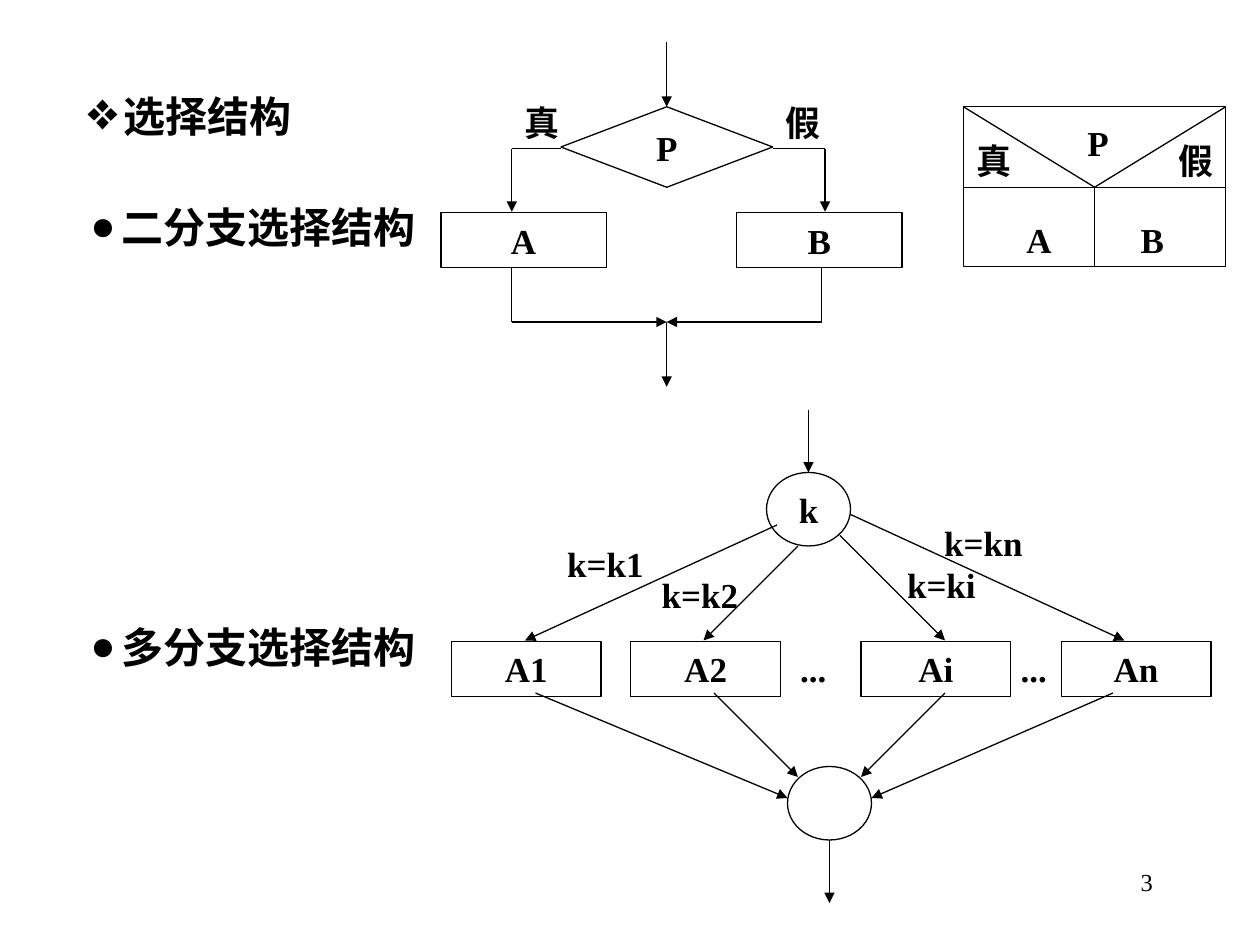
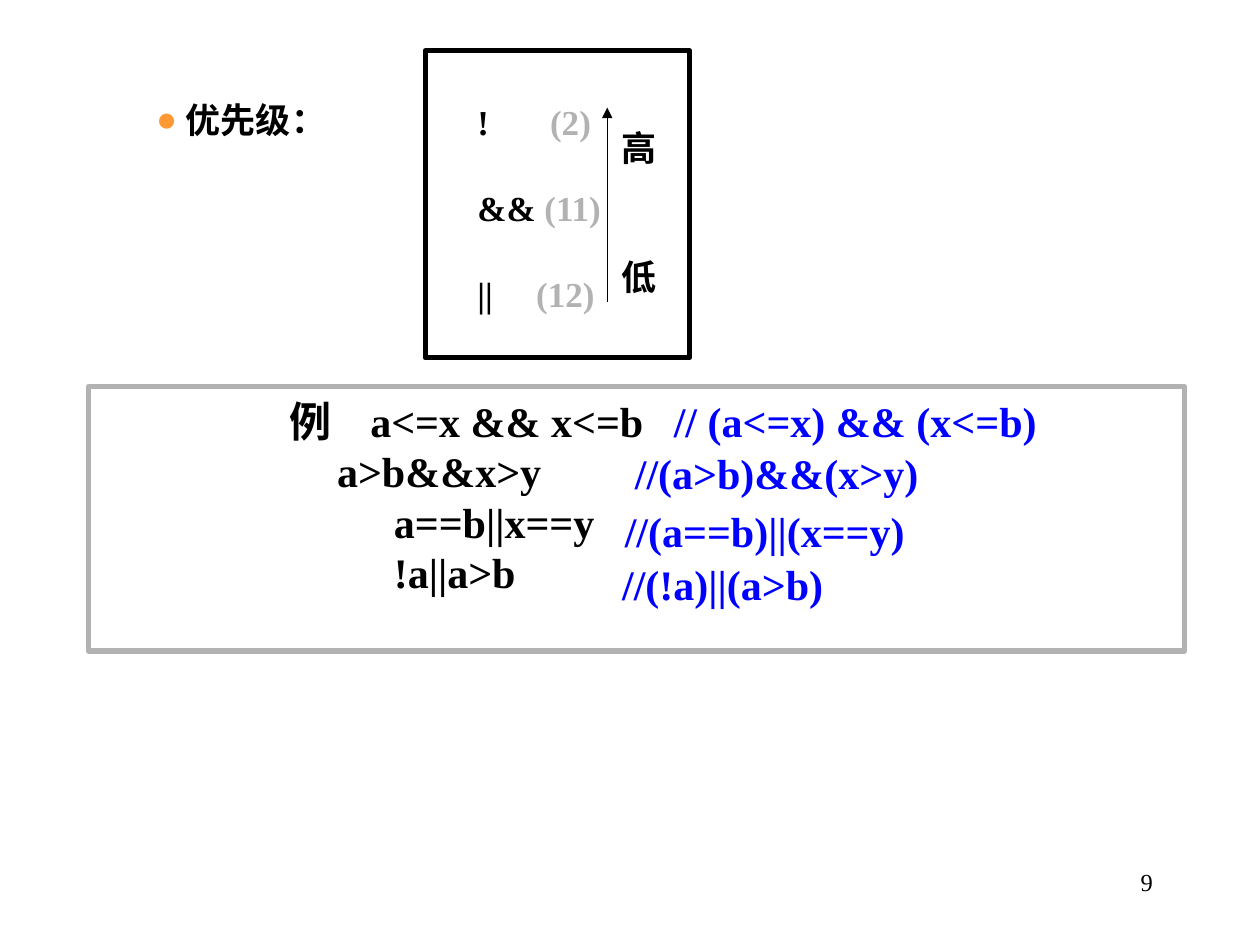
from lxml.etree import SubElement
from pptx import Presentation
from pptx.dml.color import RGBColor
from pptx.enum.shapes import MSO_CONNECTOR, MSO_SHAPE
from pptx.enum.text import MSO_ANCHOR, MSO_AUTO_SIZE, PP_ALIGN
from pptx.oxml.ns import qn
from pptx.util import Pt

BLACK, WHITE, GREY = "000000", "FFFFFF", "B2B2B2"
BLUE, ORANGE = "0000FF", "FF9933"
SERIF, SANS, HAN = "Times New Roman", "Arial", "Noto Sans CJK SC"
LEFT, MID, RIGHT = PP_ALIGN.LEFT, PP_ALIGN.CENTER, PP_ALIGN.RIGHT


def color(code):
    return RGBColor.from_string(code)


def add_mark(para, mark, tone):
    props = para._p.get_or_add_pPr()
    tint = SubElement(props, qn("a:buClr"))
    SubElement(tint, qn("a:srgbClr"), val=tone)
    SubElement(props, qn("a:buFont"), typeface=SERIF)
    SubElement(props, qn("a:buChar"), char=mark)


def write(shape, text, size=20, bold=True, tone=BLACK, tail=None, font=SERIF,
          align=MID, anchor=MSO_ANCHOR.MIDDLE, wrap=False, mark=None,
          mark_tone=BLACK, left=0, hang=0, gap=0, pitch=1.0):
    frame = shape.text_frame
    frame.word_wrap = wrap
    frame.auto_size = MSO_AUTO_SIZE.NONE
    frame.vertical_anchor = anchor
    first = not frame.text
    para = frame.paragraphs[0] if first else frame.add_paragraph()
    props = para._p.get_or_add_pPr()
    props.set("marL", str(Pt(left)))
    props.set("indent", str(Pt(-hang)))
    if mark:
        add_mark(para, mark, mark_tone)
    para.alignment = align
    para.line_spacing = pitch
    para.space_before = Pt(0 if first else gap)
    head, tab, rest = text.partition("\t")
    for part, hue in ((head + tab, tone), (rest, tail or tone)):
        if part:
            run = para.add_run()
            run.text = part
            run.font.size, run.font.bold = Pt(size), bold
            run.font.name = font
            run.font.color.rgb = color(hue)
            SubElement(run._r.get_or_add_rPr(), qn("a:ea"), typeface=HAN)


def place(shape, x, y, wide, high):
    shape.left, shape.top = Pt(x), Pt(y)
    shape.width, shape.height = Pt(wide), Pt(high)


class Area:
    def __init__(self, slide, x, y):
        self.shapes, self.x, self.y = slide.shapes, x, y

    def box(self, x, y, wide, high):
        return Pt(self.x + x), Pt(self.y + y), Pt(wide), Pt(high)

    def shape(self, kind, x, y, wide, high, text="", edge=BLACK, width=0.75):
        item = self.shapes.add_shape(kind, *self.box(x, y, wide, high))
        item.shadow.inherit = False
        item.fill.solid()
        item.fill.fore_color.rgb = color(WHITE)
        item.line.color.rgb = color(edge)
        item.line.width = Pt(width)
        if text:
            write(item, text)
        return item

    def label(self, text, x, y, wide=34.5, high=31.5, **look):
        item = self.shapes.add_textbox(*self.box(x, y, wide, high))
        write(item, text, **look)
        return item

    def line(self, *points, arrow=True):
        last = len(points) - 2
        for step, (start, end) in enumerate(zip(points, points[1:])):
            item = self.shapes.add_connector(
                MSO_CONNECTOR.STRAIGHT,
                Pt(self.x + start[0]), Pt(self.y + start[1]),
                Pt(self.x + end[0]), Pt(self.y + end[1]))
            item.line.color.rgb = color(BLACK)
            item.line.width = Pt(0.75)
            if arrow and step == last:
                SubElement(item.line._get_or_add_ln(), qn("a:tailEnd"), type="triangle")
            SubElement(item._element.spPr, qn("a:effectLst"))


def draw_flow(slide, x, y):
    area = Area(slide, x, y)
    mid, arm, join = 129, 61, 160
    area.line((mid, 0), (mid, 37))
    area.shape(MSO_SHAPE.FLOWCHART_DECISION, 68.5, 37, 121, 46, "P")
    sides = (("A", "真", 0, 68.5, 40.5, 40.5, 40.5),
             ("B", "假", 169, 189.5, 219.5, 217.5, 189.5))
    for name, test, left, tip, drop, back, note in sides:
        area.shape(MSO_SHAPE.RECTANGLE, left, 97.5, 94.5, 31.5, name)
        area.line((tip, arm), (drop, arm), (drop, 97))
        area.line((back, 129), (back, join), (mid, join))
        area.label(test, note, 30)
    area.line((mid, join), (mid, 197))


def draw_chart(slide, x, y):
    area = Area(slide, x, y)
    wide, high, mid, split = 150, 91.5, 75, 46
    area.shape(MSO_SHAPE.RECTANGLE, 0, 0, wide, high)
    area.line((0, 0), (mid, split), (wide, 0), arrow=False)
    area.line((0, split), (wide, split), arrow=False)
    area.line((mid, split), (mid, high), arrow=False)
    for text, left, top in (("P", 59.75, 4.5), ("真", 0, 15), ("假", 115.75, 15),
                            ("A", 26, 60), ("B", 90.75, 60)):
        area.label(text, left, top)


def draw_switch(slide, x, y):
    area = Area(slide, x, y)
    area.line((204, 0), (204, 36))
    for left, top, text in ((180, 36, "k"), (192, 204, "")):
        area.shape(MSO_SHAPE.FLOWCHART_CONNECTOR, left, top, 48, 42, text)
    cases = (("A1", 0, (186, 66), (42, 132), (48, 162), (192, 222)),
             ("A2", 102.5, (198, 78), (144, 132), (150, 162), (198, 210)),
             ("Ai", 234, (222, 72), (282, 132), (282, 162), (234, 210)),
             ("An", 348.5, (228, 60), (384.5, 132), (378, 162), (240, 222)))
    for name, left, *ends in cases:
        area.shape(MSO_SHAPE.RECTANGLE, left, 132.5, 85.5, 31.5, name)
        area.line(*ends[:2])
        area.line(*ends[2:])
    area.line((216, 246), (216, 282))
    for text, left, top in (("k=k1", 59, 72), ("k=k2", 113, 90),
                            ("k=kn", 275, 60), ("k=ki", 251, 84)):
        area.label(text, left, top, 58)
    for left in (192, 318):
        area.label("...", left, 132, 29.5)


def draw_rank(slide, x, y):
    area = Area(slide, x, y)
    area.shape(MSO_SHAPE.RECTANGLE, 0, 0, 151, 175.5, width=3)
    first, *rest = (("!\t(2)", 41.5), ("&&\t(11)", 38.25), ("||\t(12)", 33.5))
    look = dict(tail=GREY, align=LEFT, anchor=MSO_ANCHOR.TOP, wrap=True, gap=25)
    rows = area.label(first[0], 22.75, 25, 95, 130, left=first[1], hang=first[1], **look)
    for text, stop in rest:
        write(rows, text, left=stop, hang=stop, **look)
    area.line((104, 143.5), (104, 32.5))
    for text, top in (("高", 39.5), ("低", 113)):
        area.label(text, 104.75, top)


def draw_code(slide, x, y):
    area = Area(slide, x, y)
    panel = area.shape(MSO_SHAPE.RECTANGLE, 0, 0, 626.5, 151, edge=GREY, width=3)
    panel.text_frame.margin_top = Pt(5)
    rows = (("例\ta<=x && x<=b", 154, 46, "// (a<=x) && (x<=b)", 327.5, 1.5),
            ("a>b&&x>y", 135, 0, "//(a>b)&&(x>y)", 305.25, 31),
            ("a==b||x==y", 167.5, 0, "//(a==b)||(x==y)", 299.5, 64),
            ("!a||a>b", 167.5, 0, "//(!a)||(a>b)", 298, 94.5))
    for code, left, hang, note, spot, top in rows:
        write(panel, code, size=24, align=LEFT, anchor=MSO_ANCHOR.TOP,
              wrap=True, left=left, hang=hang, pitch=Pt(28.8))
        area.label(note, spot, top, 235, 36, size=24, tone=BLUE, align=LEFT)


def add_slide(deck, layout, number):
    slide = deck.slides.add_slide(deck.slide_layouts[layout])
    Area(slide, 516, 492).label(number, 0, 0, 150, 36, size=14, bold=False,
                                align=RIGHT, anchor=MSO_ANCHOR.TOP, wrap=True)
    return slide


def fill_holder(holder, text, box, mark, hang, **look):
    place(holder, *box)
    write(holder, text, align=LEFT, mark=mark, left=hang, hang=hang, **look)


def make_choice(deck):
    slide = add_slide(deck, 3, "3")
    title, *lists = slide.placeholders
    fill_holder(title, "选择结构", (42, 48, 150, 36), "❖", 21.5, size=24)
    for item, text, top in zip(lists, ("二分支选择结构", "多分支选择结构"), (111.5, 351.5)):
        fill_holder(item, text, (44.5, top, 206, 36), "●", 17.5, size=24)
    draw_flow(slide, 252, 24)
    draw_chart(slide, 550.5, 61)
    draw_switch(slide, 258, 234)


def make_rank(deck):
    slide = add_slide(deck, 5, "9")
    fill_holder(slide.shapes.title, "优先级：", (82, 52.5, 120, 31.5), "●", 17,
                mark_tone=ORANGE, font=SANS)
    draw_rank(slide, 243, 29)
    draw_code(slide, 50.5, 221)


def main():
    deck = Presentation()
    deck.slide_width, deck.slide_height = Pt(720), Pt(540)
    make_choice(deck)
    make_rank(deck)
    deck.save("out.pptx")


if __name__ == "__main__":
    main()
